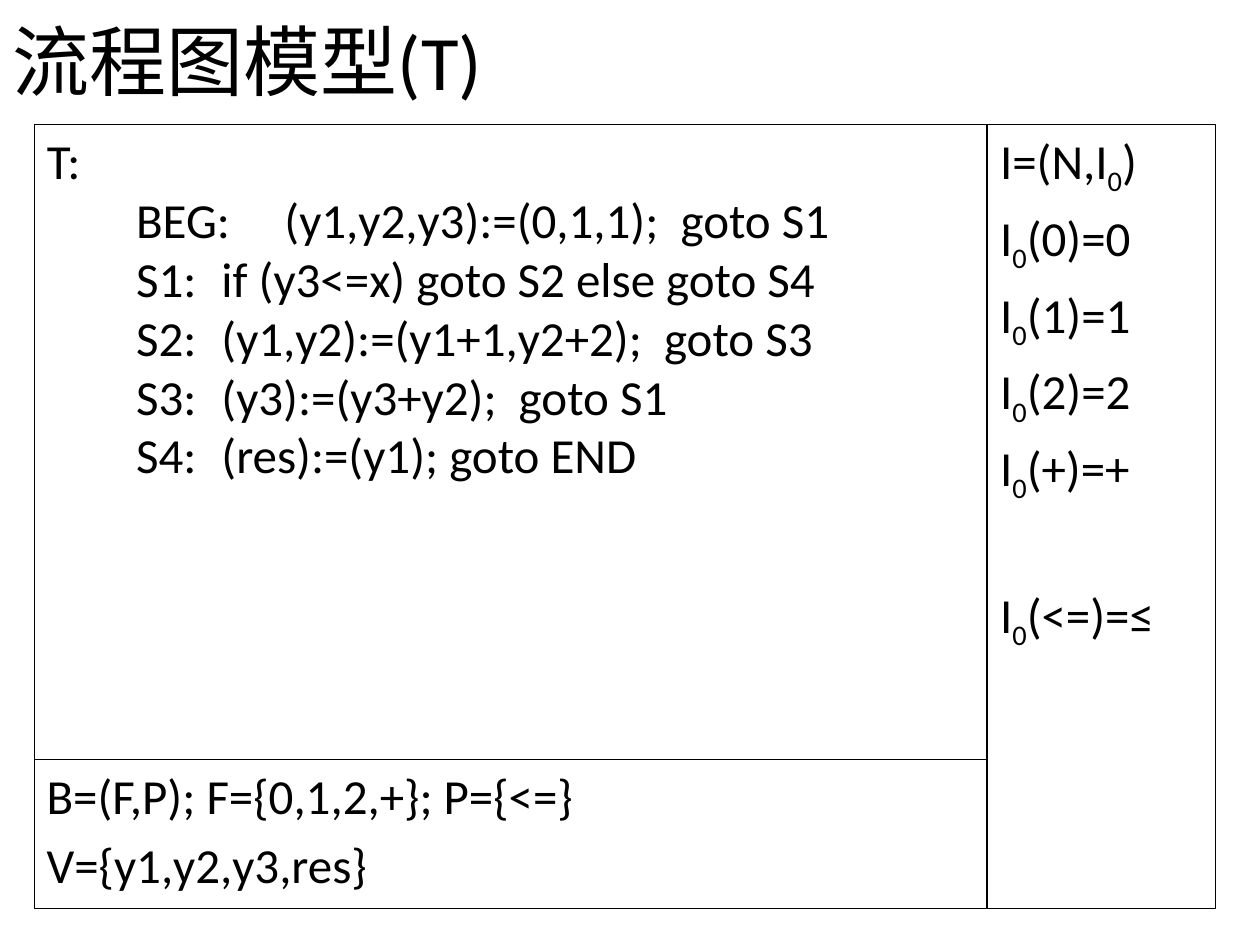
from dataclasses import dataclass
from typing import Any

from lxml.etree import SubElement
from pptx import Presentation
from pptx.dml.color import RGBColor
from pptx.enum.shapes import MSO_SHAPE
from pptx.enum.text import MSO_ANCHOR, MSO_AUTO_SIZE, PP_ALIGN
from pptx.oxml.ns import qn
from pptx.util import Cm, Pt

BLACK = RGBColor(0x00, 0x00, 0x00)
FRAME = {"word_wrap": True, "auto_size": MSO_AUTO_SIZE.NONE}

# Panel grid in centimetres
LEFT, TOP = 0.69, 2.51
MAIN_WIDTH, SIDE_WIDTH = 19.2, 4.6
PROGRAM_HEIGHT, BASIS_HEIGHT = 12.8, 3.0
HANGING = 0.97
LABEL_INDENT, CODE_INDENT = 1.8, 3.52
GAP, WIDE_GAP = 5.6, 45.4


@dataclass
class Line:
    """One paragraph; an underscore precedes a subscript character."""
    text: str
    before: float = GAP
    margin: float = HANGING
    start: float = 0


@dataclass
class Panel:
    left: float
    top: float
    width: float
    height: float
    lines: list[Line]


def assign(target: Any, values: dict[str, Any]) -> None:
    for name, value in values.items():
        setattr(target, name, value)


def place(shape: Any, left: float, top: float, width: float, height: float) -> None:
    assign(shape, {"left": Cm(left), "top": Cm(top),
                   "width": Cm(width), "height": Cm(height)})


def add_run(paragraph: Any, text: str, size: int, subscript: bool = False) -> None:
    run = paragraph.add_run()
    run.text = text
    assign(run.font, {"name": "Calibri", "size": Pt(size)})
    run.font.color.rgb = BLACK
    if subscript:
        run.font._element.set("baseline", "-25000")


def write_line(paragraph: Any, line: Line) -> None:
    assign(paragraph, {"alignment": PP_ALIGN.LEFT, "space_before": Pt(line.before)})
    properties = paragraph._p.get_or_add_pPr()
    properties.set("marL", str(Cm(line.margin)))
    properties.set("indent", str(Cm(line.start) - Cm(line.margin)))
    SubElement(properties, qn("a:buNone"))
    base, mark, rest = line.text.partition("_")
    add_run(paragraph, base, 28)
    if mark:
        add_run(paragraph, rest[0], 28, subscript=True)
        add_run(paragraph, rest[1:], 28)


def draw_panel(shape: Any, panel: Panel) -> None:
    place(shape, panel.left, panel.top, panel.width, panel.height)
    shape.fill.background()
    shape.line.color.rgb = BLACK
    shape.line.width = Pt(0.75)
    frame = shape.text_frame
    assign(frame, FRAME | {"vertical_anchor": MSO_ANCHOR.TOP})
    for index, line in enumerate(panel.lines):
        paragraph = frame.add_paragraph() if index else frame.paragraphs[0]
        write_line(paragraph, line)


STEPS = [
    "BEG:\t(y1,y2,y3):=(0,1,1);  goto S1",
    "S1:\tif (y3<=x) goto S2 else goto S4",
    "S2:\t(y1,y2):=(y1+1,y2+2);  goto S3",
    "S3:\t(y3):=(y3+y2);  goto S1",
    "S4:\t(res):=(y1); goto END",
]
program = Panel(LEFT, TOP, MAIN_WIDTH, PROGRAM_HEIGHT,
                [Line("T:", before=0)]
                + [Line(step, 0, CODE_INDENT, LABEL_INDENT) for step in STEPS])
basis = Panel(LEFT, TOP + PROGRAM_HEIGHT, MAIN_WIDTH, BASIS_HEIGHT,
              [Line("B=(F,P); F={0,1,2,+}; P={<=}"), Line("V={y1,y2,y3,res}")])
interpretation = Panel(LEFT + MAIN_WIDTH + 0.02, TOP, SIDE_WIDTH,
                       PROGRAM_HEIGHT + BASIS_HEIGHT,
                       [Line("I=(N,I_0)")]
                       + [Line(f"I_0({symbol})={symbol}") for symbol in "012+"]
                       + [Line("I_0(<=)=≤", before=WIDE_GAP)])

presentation = Presentation()
presentation.slide_width, presentation.slide_height = Cm(25.4), Cm(19.05)
slide = presentation.slides.add_slide(presentation.slide_layouts[1])

# Title
heading = slide.shapes.title
place(heading, 0, 0.05, 25.4, 2.29)
assign(heading.text_frame, FRAME | {"vertical_anchor": MSO_ANCHOR.MIDDLE})
heading.text_frame.paragraphs[0].alignment = PP_ALIGN.LEFT
add_run(heading.text_frame.paragraphs[0], "流程图模型(T)", 44)

# Program in the body placeholder
draw_panel(slide.placeholders[1], program)

# Basis and interpretation
for panel in (basis, interpretation):
    box = slide.shapes.add_shape(MSO_SHAPE.RECTANGLE, 0, 0, 0, 0)
    box.shadow.inherit = False
    draw_panel(box, panel)

presentation.save("out.pptx")
